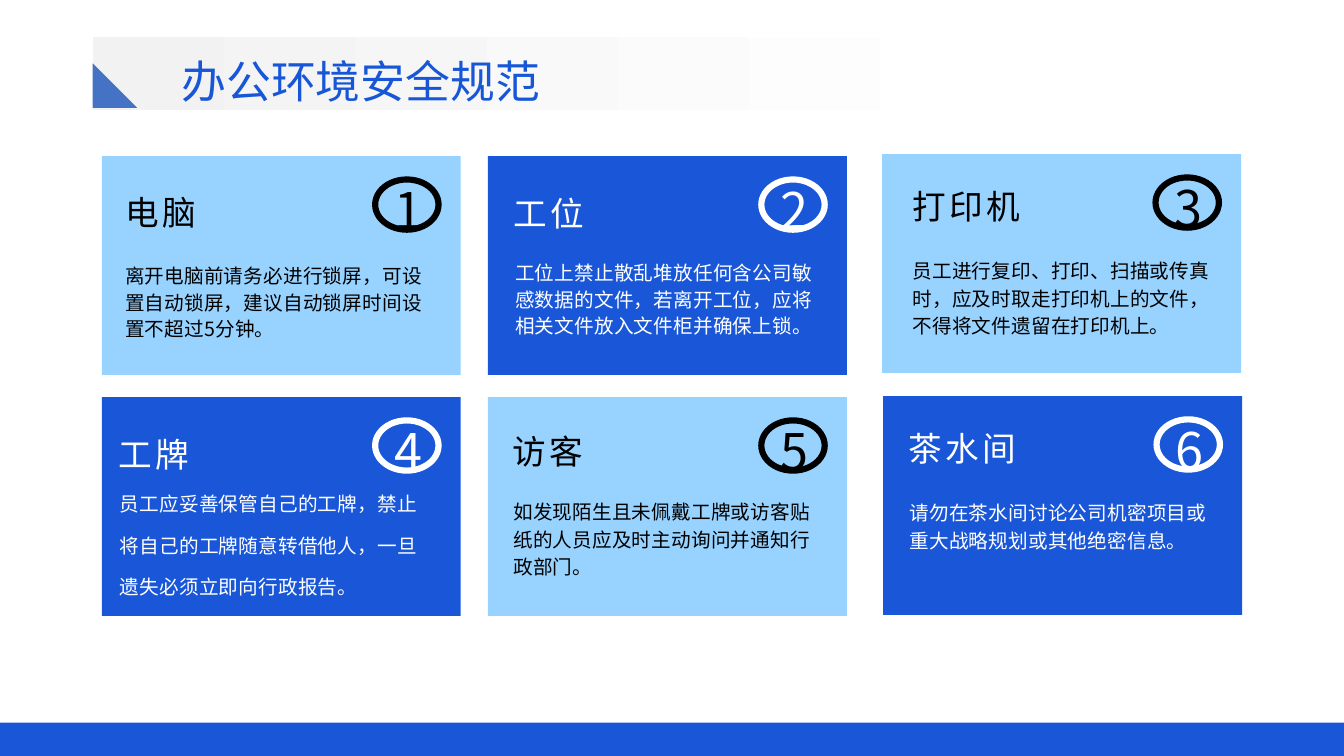
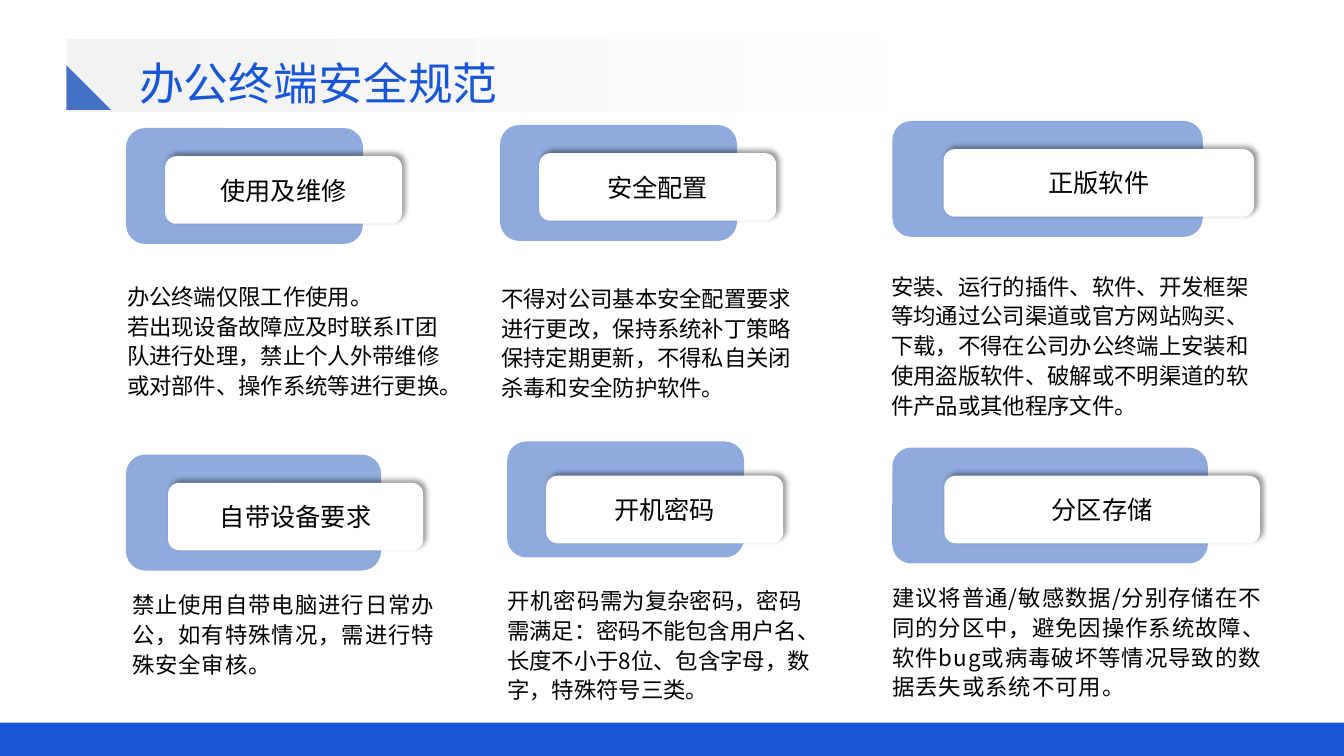
from dataclasses import dataclass
from typing import NamedTuple

from lxml import etree
from pptx import Presentation
from pptx.dml.color import RGBColor
from pptx.enum.shapes import MSO_SHAPE
from pptx.enum.text import MSO_ANCHOR, MSO_AUTO_SIZE, PP_ALIGN
from pptx.oxml.ns import qn
from pptx.util import Inches, Pt

RECT, ROUND = MSO_SHAPE.RECTANGLE, MSO_SHAPE.ROUNDED_RECTANGLE
RING, TRIANGLE = MSO_SHAPE.DONUT, MSO_SHAPE.RIGHT_TRIANGLE
LEFT, CENTER = PP_ALIGN.LEFT, PP_ALIGN.CENTER
TOP, MIDDLE = MSO_ANCHOR.TOP, MSO_ANCHOR.MIDDLE
NO_FIT = MSO_AUTO_SIZE.NONE
TITLE_ONLY = 5


@dataclass(frozen=True)
class Theme:
    font: str = "Noto Sans CJK SC"
    title: str = "1856D8"
    deep: str = "0045D4"
    deep_alpha: int = 90
    sky: str = "98D3FF"
    tile: str = "8FAADC"
    accent: str = "4472C4"
    band: str = "F2F2F2"
    white: str = "FFFFFF"
    black: str = "000000"
    title_size: int = 32
    number_size: int = 36
    heading_size: int = 24
    label_size: int = 18
    tile_body_size: int = 16
    card_body_size: int = 14


T = Theme()


class Card(NamedTuple):
    x: float
    y: float
    dark: bool
    heading: str
    heading_at: tuple
    body: str
    body_at: tuple
    body_w: float
    leading: float


class Tile(NamedTuple):
    x: float
    y: float
    w: float
    drop: float
    label: str
    body: list
    body_at: tuple
    body_w: float


CARDS = [
    Card(1.01, 1.55, False, "电脑", (0.24, 0.13),
         "离开电脑前请务必进行锁屏，可设置自动锁屏，建议自动锁屏时间设置不超过5分钟。",
         (0.23, 1.04), 3.14, 19),
    Card(4.84, 1.55, True, "工位", (0.25, 0.14),
         "工位上禁止散乱堆放任何含公司敏感数据的文件，若离开工位，应将相关文件放入文件柜并确保上锁。",
         (0.27, 1.01), 3.11, 19),
    Card(8.75, 1.53, False, "打印机", (0.3, 0.09),
         "员工进行复印、打印、扫描或传真时，应及时取走打印机上的文件，不得将文件遗留在打印机上。",
         (0.3, 1), 3.07, 19.7),
    Card(1.01, 3.94, True, "工牌", (0.17, 0.14),
         "员工应妥善保管自己的工牌，禁止将自己的工牌随意转借他人，一旦遗失必须立即向行政报告。",
         (0.18, 0.76), 3.07, 29.7),
    Card(4.84, 3.94, False, "访客", (0.24, 0.11),
         "如发现陌生且未佩戴工牌或访客贴纸的人员应及时主动询问并通知行政部门。",
         (0.25, 0.98), 3.11, 19.7),
    Card(8.76, 3.93, True, "茶水间", (0.25, 0.09),
         "请勿在茶水间讨论公司机密项目或重大战略规划或其他绝密信息。",
         (0.26, 1), 2.98, 19.7),
]

TILES = [
    Tile(1.25, 1.27, 2.35, 0.28, "使用及维修",
         [("办公终端仅限工作使用。\n若出现设备故障应及时联系IT团队进行处理，"
           "禁止个人外带维修或对部件、操作系统等进行更换。", 0)],
         (0.01, 1.51), 3.11),
    Tile(4.96, 1.24, 2.35, 0.28, "安全配置",
         [("不得对公司基本安全配置要求进行更改，保持系统补丁策略保持定期更新，"
           "不得私自关闭杀毒和安全防护软件。", 0)],
         (0.01, 1.56), 3.05),
    Tile(8.85, 1.2, 3.08, 0.28, "正版软件",
         [("安装、运行的插件、软件、开发框架等均通过公司渠道或官方网站购买、下载，"
           "不得在公司办公终端上安装和使用盗版软件、破解或不明渠道的软件产品或其他程序文件。", 0)],
         (-0.01, 1.48), 3.74),
    Tile(1.25, 4.51, 2.53, 0.28, "自带设备要求",
         [("禁止使用自带电脑进行日常办公，如有特殊情况，需进行特殊安全审核。", 0.7)],
         (0.06, 1.33), 3.04),
    Tile(5.03, 4.38, 2.35, 0.34, "开机密码",
         [("开机密码", 0.7),
          ("需为复杂密码，密码需满足：密码不能包含用户名、长度不小于8位、"
           "包含字母，数字，特殊符号三类。", 0)],
         (0, 1.42), 3.04),
    Tile(8.85, 4.44, 3.13, 0.28, "分区存储",
         [("建议将普通/敏感数据/分别存储在不同的分区中，避免因操作系统故障、"
           "软件bug或病毒破坏等情况导致的数据丢失或系统不可用。", 0.7)],
         (0, 1.33), 3.83),
]


def inches(*values):
    return [Inches(v) for v in values]


def write(sp, runs, size, color=T.black, align=LEFT, anchor=TOP,
          leading=None, spacing=0, insets=(0, 0)):
    tf = sp.text_frame
    tf.word_wrap = True
    tf.auto_size = NO_FIT
    tf.vertical_anchor = anchor
    tf.margin_left = tf.margin_right = Inches(insets[0])
    tf.margin_top = tf.margin_bottom = Inches(insets[1])
    p = tf.paragraphs[0]
    p.alignment = align
    if leading:
        p.line_spacing = Pt(leading)
    for text, spc in [(runs, spacing)] if isinstance(runs, str) else runs:
        for i, line in enumerate(text.split("\n")):
            if i:
                p.add_line_break()
            r = p.add_run()
            r.text = line
            r.font.size = Pt(size)
            r.font.name = T.font
            r.font.color.rgb = RGBColor.from_string(color)
            rPr = r.font._element
            rPr.set("spc", str(round(spc * 100)))
            latin = rPr.find(qn("a:latin"))
            ea = etree.Element(qn("a:ea"), typeface=T.font)
            latin.addnext(ea)


def add_text(shapes, x, y, w, h, runs, size, **fmt):
    sp = shapes.add_textbox(*inches(x, y, w, h))
    write(sp, runs, size, **fmt)


def add_box(shapes, kind, x, y, w, h, color, alpha=100):
    sp = shapes.add_shape(kind, *inches(x, y, w, h))
    sp.shadow.inherit = False
    sp.line.fill.background()
    sp.fill.solid()
    sp.fill.fore_color.rgb = RGBColor.from_string(color)
    if alpha < 100:
        clr = sp.element.spPr.find(".//" + qn("a:srgbClr"))
        etree.SubElement(clr, qn("a:alpha"), val=str(alpha * 1000))
    return sp


def cast_shadow(sp):
    effects = sp.element.spPr.find(qn("a:effectLst"))
    shadow = etree.SubElement(effects, qn("a:outerShdw"), blurRad=str(Pt(4)),
                              dist=str(Pt(3)), dir=str(315 * 60000),
                              algn="bl", rotWithShape="0")
    clr = etree.SubElement(shadow, qn("a:srgbClr"), val=T.black)
    etree.SubElement(clr, qn("a:alpha"), val="40000")


def add_footer(prs, slide):
    sp = add_box(slide.shapes, RECT, 0, 7.17, 13.33, 0.33, T.deep, T.deep_alpha)
    sp.element.nvSpPr.cNvPr.set("id", "20")
    prs.slide_master.shapes.element.insert(2, sp.element)


def add_header(slide, text, x, y, w, title_dx):
    band = add_box(slide.shapes, RECT, x, y, w, 0.72, T.band)
    band.fill.gradient()
    band.fill.gradient_angle = 0
    stops = zip(band.fill.gradient_stops, [(0, T.band), (0.8, T.white)])
    for stop, (position, color) in stops:
        stop.position = position
        stop.color.rgb = RGBColor.from_string(color)
    slide.shapes.element.insert(2, band.element)
    add_box(slide.shapes, TRIANGLE, x, y + 0.26, 0.44, 0.44, T.accent)
    title = slide.shapes.title
    title.left, title.top, title.width, title.height = inches(
        x + title_dx, y + 0.12, 4.65, 0.61)
    write(title, text, T.title_size, color=T.title, insets=(0.07, 0.04))


def add_card(slide, card, number):
    shapes = slide.shapes.add_group_shape().shapes
    x, y = card.x, card.y
    ink = T.white if card.dark else T.black
    fill, alpha = (T.deep, T.deep_alpha) if card.dark else (T.sky, 100)
    add_box(shapes, RECT, x, y, 3.56, 2.17, fill, alpha)
    ring = add_box(shapes, RING, x + 2.68, y + 0.2, 0.69, 0.56, ink)
    ring.adjustments[0] = 0.11
    add_text(shapes, x + 2.84, y + 0.01, 0.4, 0.82, str(number), T.number_size,
             color=ink, align=CENTER, leading=58.8, spacing=4.4)
    dx, dy = card.heading_at
    add_text(shapes, x + dx, y + dy, 1.7, 0.63, card.heading, T.heading_size,
             color=ink, leading=44.8, spacing=2.4)
    dx, dy = card.body_at
    add_text(shapes, x + dx, y + dy, card.body_w, 0.82, card.body,
             T.card_body_size, color=ink, leading=card.leading, spacing=0.1)


def add_tile(slide, tile):
    shapes = slide.shapes.add_group_shape().shapes
    x, y, w = tile.x, tile.y, tile.w
    add_box(shapes, ROUND, x, y, w, 1.15, T.tile)
    label = add_box(shapes, ROUND, x + w * 0.165, y + tile.drop, w, 0.67, T.white)
    cast_shadow(label)
    write(label, tile.label, T.label_size, align=CENTER, anchor=MIDDLE,
          insets=(0.1, 0.05))
    dx, dy = tile.body_at
    add_text(shapes, x + dx, y + dy, tile.body_w, 1.2, tile.body,
             T.tile_body_size, leading=21.2)


def build_environment(slide):
    add_header(slide, "办公环境安全规范", 0.92, 0.37, 11.39, 0.81)
    for number, card in enumerate(CARDS, 1):
        add_card(slide, card, number)


def build_terminal(slide):
    add_header(slide, "办公终端安全规范", 0.66, 0.39, 11.78, 0.65)
    for tile in TILES:
        add_tile(slide, tile)


def main():
    prs = Presentation()
    prs.slide_width, prs.slide_height = inches(13.33, 7.5)
    layout = prs.slide_layouts[TITLE_ONLY]
    environment, terminal = [prs.slides.add_slide(layout) for _ in range(2)]
    add_footer(prs, environment)
    build_environment(environment)
    build_terminal(terminal)
    prs.save("out.pptx")


if __name__ == "__main__":
    main()
